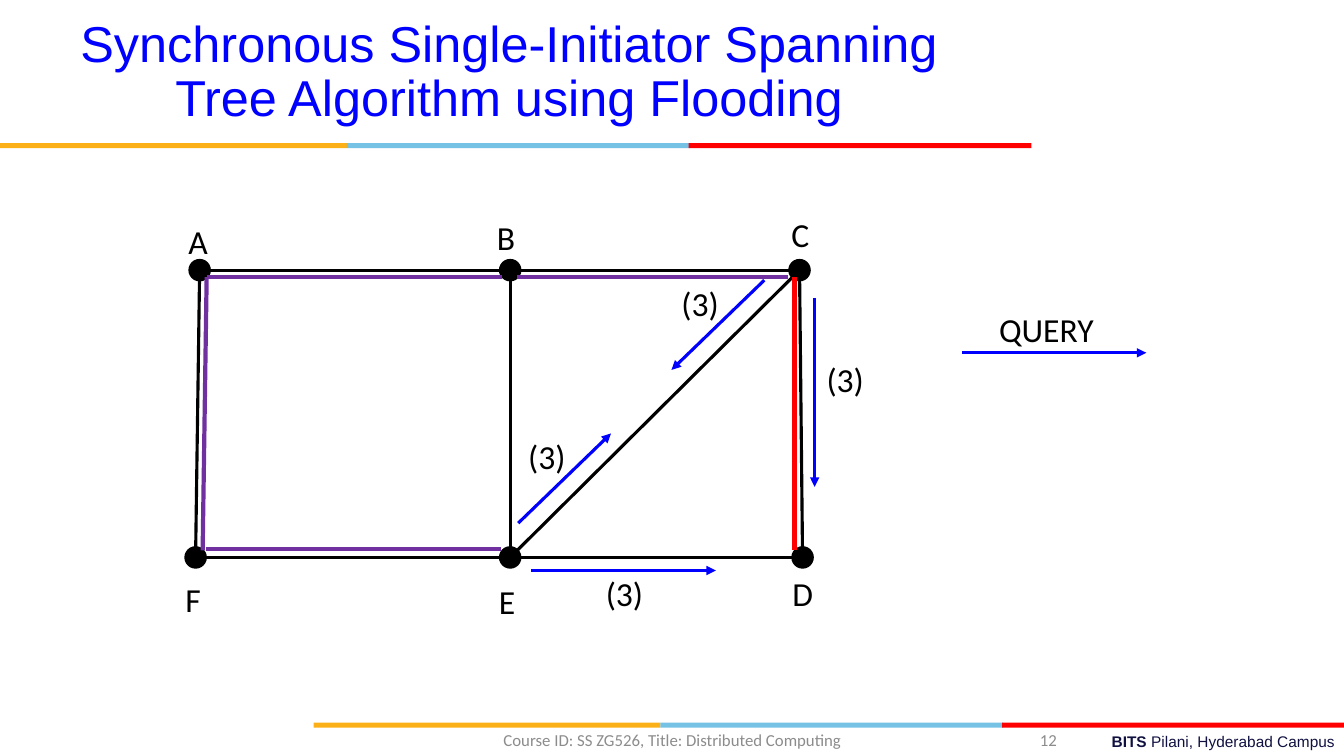
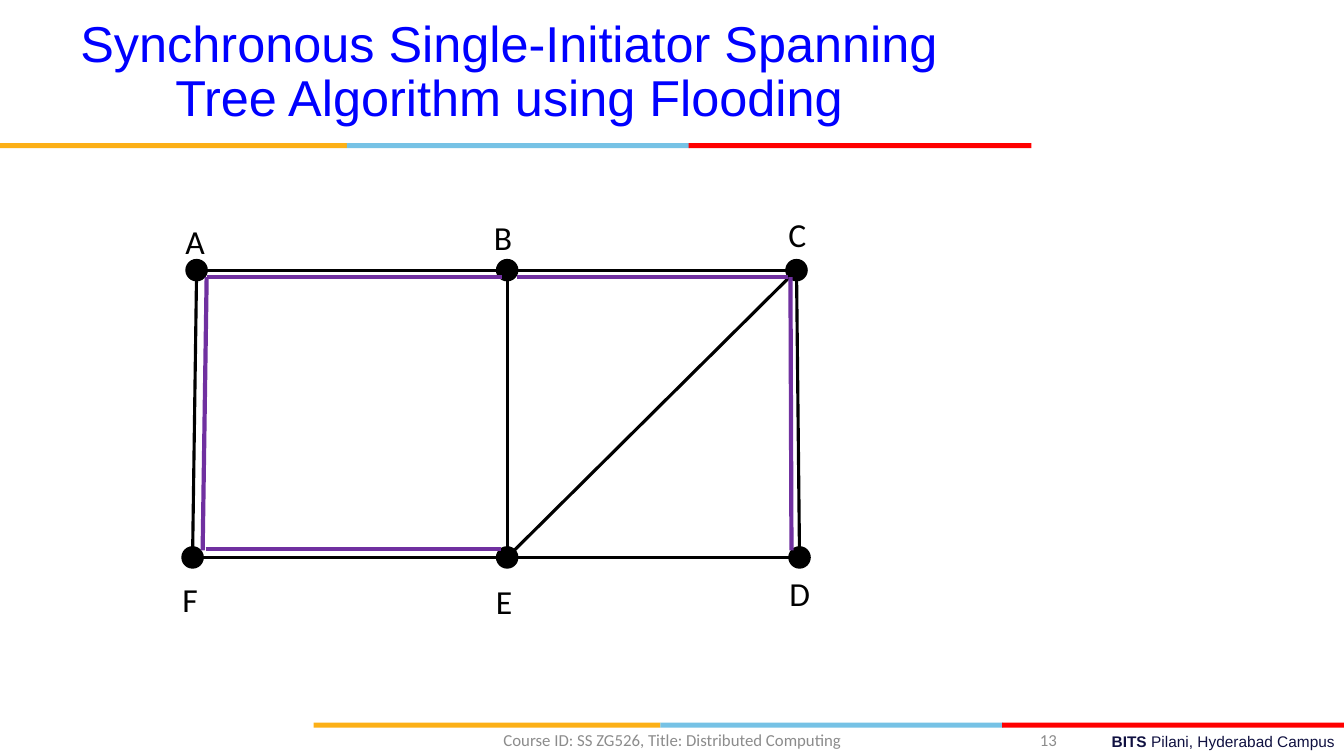
from lxml import etree
from pptx import Presentation
from pptx.dml.color import RGBColor
from pptx.enum.shapes import MSO_CONNECTOR, MSO_SHAPE
from pptx.enum.text import MSO_ANCHOR, PP_ALIGN
from pptx.oxml.ns import qn
from pptx.util import Inches, Pt

STRAIGHT = MSO_CONNECTOR.STRAIGHT
RECTANGLE, OVAL = MSO_SHAPE.RECTANGLE, MSO_SHAPE.OVAL
TOP, MIDDLE = MSO_ANCHOR.TOP, MSO_ANCHOR.MIDDLE
LEFT, CENTER, RIGHT = PP_ALIGN.LEFT, PP_ALIGN.CENTER, PP_ALIGN.RIGHT

COLORS = {
    "title": "0000FF", "query": "0000FF", "graph": "000000",
    "tree": "7030A0", "pending": "FF0000", "footer": "8C8C8C",
    "campus": "101141", "gold": "FCB017", "sky": "76C2E5", "red": "FF0000",
}
FONTS = {
    "title": {"name": "Arial", "size": Pt(36)},
    "graph": {"name": "Calibri", "size": Pt(24)},
    "footer": {"name": "Calibri", "size": Pt(12)},
    "campus": {"name": "Arial", "size": Pt(11)},
}
TITLE = "Synchronous Single-Initiator Spanning Tree Algorithm using Flooding"
COURSE = "Course ID: SS ZG526, Title: Distributed Computing"
CAMPUS = [("BITS ", True), ("Pilani, Hyderabad Campus", False)]
BAND = [("gold", 0, 3.44), ("sky", 3.44, 3.4), ("red", 6.83, 3.4)]

NODE_SIZE = 0.21
NODES = {
    "A": (0.04, 0), "B": (3.12, 0), "C": (5.99, 0),
    "D": (6.02, 2.85), "E": (3.12, 2.85), "F": (0, 2.85),
}
LABEL_OFFSETS = {
    "A": (-0.21, -0.54), "B": (-0.23, -0.58), "C": (-0.18, -0.61),
    "D": (-0.2, 0.1), "E": (-0.21, 0.18), "F": (-0.2, 0.16),
}
EDGES = ["AB", "BC", "FE", "ED", "AF", "BE", "CD", "CE"]
TREE_EDGES = [
    ((0.03, 2.7), (2.96, 2.7)),
    ((3.12, 0), (5.81, 0)),
    ((0.04, 0), (2.97, 0)),
    ((0.04, 0), (0, 2.71)),
]
QUERIES = [
    ((2.81, 0.18), (2.81, 2.05), "(3)", (2.83, 0.73), 0.57),
    ((2.31, 0), (1.39, 0.89), "(3)", (1.39, -0.02), 0.68),
    ((0, 2.88), (1.83, 2.88), "(3)", (0.64, 2.85), 0.68),
    ((-0.13, 2.41), (0.79, 1.52), "(3)", (-0.13, 1.5), 0.68),
]


def color(key):
    return RGBColor.from_string(COLORS[key])


def add_text(slide, box, runs, style, align=LEFT, anchor=TOP, spacing=None):
    frame = slide.shapes.add_textbox(*map(Inches, box)).text_frame
    for name, value in {"word_wrap": True, "vertical_anchor": anchor}.items():
        setattr(frame, name, value)
    paragraph = frame.paragraphs[0]
    for name, value in {"alignment": align, "line_spacing": spacing}.items():
        setattr(paragraph, name, value)
    for words, bold in runs:
        run = paragraph.add_run()
        run.text = words
        for name, value in {**FONTS[style], "bold": bold}.items():
            setattr(run.font, name, value)
        run.font.color.rgb = color(style)


def add_solid(slide, kind, box, key, outline=None):
    solid = slide.shapes.add_shape(kind, *map(Inches, box))
    solid.shadow.inherit = False
    solid.fill.solid()
    solid.fill.fore_color.rgb = color(key)
    if outline:
        solid.line.color.rgb = color(key)
        solid.line.width = Pt(outline)
    else:
        solid.line.fill.background()


def add_line(slide, origin, start, end, key, width=2.25, arrow=False):
    left, top = origin
    ends = (left + start[0], top + start[1], left + end[0], top + end[1])
    connector = slide.shapes.add_connector(STRAIGHT, *map(Inches, ends))
    connector.line.color.rgb = color(key)
    connector.line.width = Pt(width)
    if arrow:
        head = etree.SubElement(connector.line._get_or_add_ln(), qn("a:tailEnd"))
        head.set("type", "triangle")
    etree.SubElement(connector._element.spPr, qn("a:effectLst"))


def add_band(slide, left, top):
    for key, offset, width in BAND:
        add_solid(slide, RECTANGLE, (left + offset, top, width, 0.05), key)


def add_header(slide, left, top):
    add_band(slide, left, top + 1.42)
    add_text(slide, (left + 0.44, top + 0.1, 9.22, 1.25), [(TITLE, False)],
             "title", CENTER, MIDDLE, 0.9)


def add_footer(slide, left, top, number):
    add_band(slide, left, top + 0.03)
    add_text(slide, (left + 1.67, top + 0.07, 8.56, 0.29), CAMPUS, "campus", RIGHT)
    add_text(slide, (left + 6.11, top, 1.36, 0.4), [(str(number), False)],
             "footer", RIGHT, MIDDLE)
    add_text(slide, (left + 1.31, top, 4.5, 0.4), [(COURSE, False)],
             "footer", CENTER, MIDDLE)


def add_network(slide, left, top):
    for start, end in EDGES:
        add_line(slide, (left, top), NODES[start], NODES[end], "graph")
    for node, (x, y) in NODES.items():
        dx, dy = LABEL_OFFSETS[node]
        corner = (left + x - NODE_SIZE / 2, top + y - NODE_SIZE / 2)
        add_solid(slide, OVAL, (*corner, NODE_SIZE, NODE_SIZE), "graph", 1)
        add_text(slide, (left + x + dx, top + y + dy, 0.41, 0.5),
                 [(node, False)], "graph")


def add_tree(slide, left, top, last_edge, last_key):
    for start, end in TREE_EDGES:
        add_line(slide, (left, top), start, end, "tree", 3)
    add_line(slide, (left, top), *last_edge, last_key, 3)


def add_queries(slide, left, top):
    for start, end, label, (x, y), width in QUERIES:
        add_line(slide, (left, top), start, end, "query", arrow=True)
        add_text(slide, (left + x, top + y, width, 0.5), [(label, False)], "graph")


def add_legend(slide, left, top):
    add_line(slide, (left, top), (0, 0.48), (1.83, 0.48), "query", arrow=True)
    add_text(slide, (left + 0.27, top, 1.31, 0.5), [("QUERY", False)], "graph")


def add_flooding_slide(deck, number, network_left, last_edge, last_key):
    slide = deck.slides.add_slide(deck.slide_layouts[6])
    add_header(slide, 0, 0)
    add_footer(slide, 3.11, 7.14, number)
    add_network(slide, network_left, 2.68)
    add_tree(slide, 2.01, 2.75, last_edge, last_key)
    return slide


def main():
    deck = Presentation()
    deck.slide_width, deck.slide_height = Inches(13.33), Inches(7.5)
    third_round = add_flooding_slide(
        deck, 12, 1.94, ((5.87, 0), (5.87, 2.71)), "pending")
    add_queries(third_round, 5.27, 2.78)
    add_legend(third_round, 9.54, 3.02)
    add_flooding_slide(deck, 13, 1.91, ((5.83, 0), (5.84, 2.71)), "tree")
    deck.save("out.pptx")


if __name__ == "__main__":
    main()
